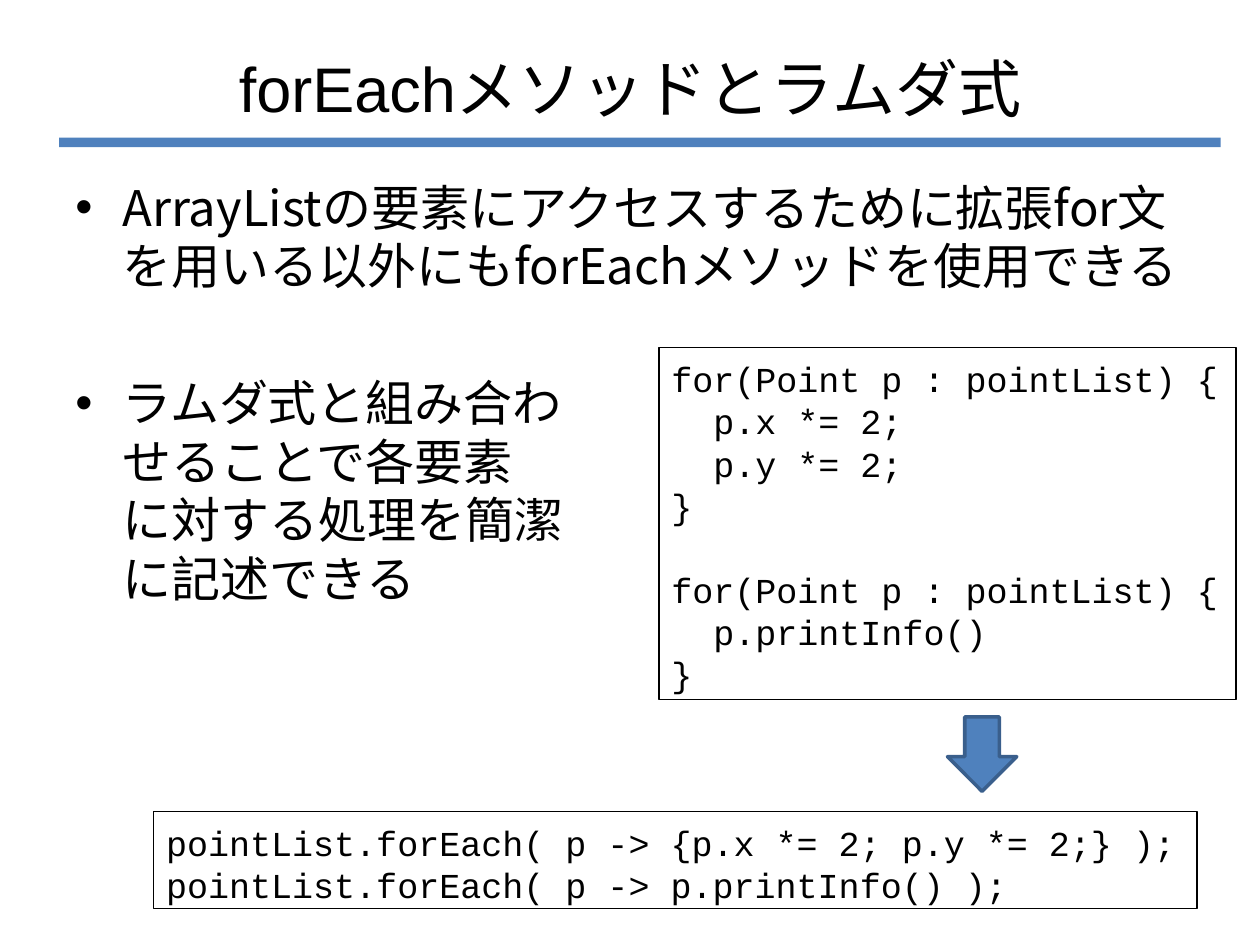
"""Build a slide on the forEach method and lambda expressions."""
from lxml import etree
from pptx import Presentation
from pptx.dml.color import RGBColor
from pptx.enum.shapes import MSO_SHAPE
from pptx.enum.text import MSO_ANCHOR, PP_ALIGN
from pptx.oxml.ns import qn
from pptx.util import Pt

RECTANGLE, DOWN_ARROW = MSO_SHAPE.RECTANGLE, MSO_SHAPE.DOWN_ARROW
TOP, MIDDLE = MSO_ANCHOR.TOP, MSO_ANCHOR.MIDDLE
LEFT, CENTER = PP_ALIGN.LEFT, PP_ALIGN.CENTER

COLORS = {"text": "000000", "accent": "4F81BD", "arrow_edge": "3A5F8C"}
SANS, MONO, JAPANESE = "Arial", "Courier New", "Noto Sans CJK JP"

TITLE = "forEachメソッドとラムダ式"
POINTS = [
    "ArrayListの要素にアクセスするために拡張for文を用いる以外にもforEachメソッドを使用できる",
    "ラムダ式と組み合わ\vせることで各要素\vに対する処理を簡潔\vに記述できる",
]
LOOPS = [
    ["for(Point p : pointList) {", "  p.x *= 2;", "  p.y *= 2;", "}"],
    ["for(Point p : pointList) {", "  p.printInfo()", "}"],
]
LAMBDAS = [[
    "pointList.forEach( p -> {p.x *= 2; p.y *= 2;} );",
    "pointList.forEach( p -> p.printInfo() );",
]]
CODE_BOXES = [
    ((376.5, 198.7, 329.8, 200.9), LOOPS),
    ((87.8, 463.7, 596.2, 55.4), LAMBDAS),
]
TITLE_BOX = (36, 21.6, 648, 56.9)
POINTS_BOX = (36, 95.8, 648, 393.8)
RULE_BOX = (33.8, 78.7, 663.8, 5.5)
ARROW_BOX = (541.4, 409.7, 39.6, 42.5)
POINT_GAP, CODE_LINE, POINT_LINE, INDENT = 45, 24.1, 33.4, 27


def color(name):
    return RGBColor.from_string(COLORS[name])


def add_box(slide, box, kind=RECTANGLE, fill=None, line=None, width=0.75):
    shape = slide.shapes.add_shape(kind, *map(Pt, box))
    shape.shadow.inherit = False
    if fill:
        shape.fill.solid()
        shape.fill.fore_color.rgb = color(fill)
    else:
        shape.fill.background()
    if line:
        shape.line.color.rgb = color(line)
        shape.line.width = Pt(width)
    else:
        shape.line.fill.background()
    return shape


def prepare_frame(shape, anchor=TOP, top=5.6):
    frame = shape.text_frame
    frame.word_wrap = True
    frame.vertical_anchor = anchor
    frame.margin_top = Pt(top)
    return frame


def write_lines(frame, lines, font, size, align=LEFT, spacing=None, bullet=False):
    for number, (text, gap) in enumerate(lines):
        paragraph = frame.add_paragraph() if number else frame.paragraphs[0]
        paragraph.text = text
        paragraph.alignment = align
        paragraph.space_before = Pt(gap)
        if spacing:
            paragraph.line_spacing = Pt(spacing)
        properties = paragraph._p.get_or_add_pPr()
        if bullet:
            properties.set("marL", str(Pt(INDENT)))
            properties.set("indent", str(-Pt(INDENT)))
            etree.SubElement(properties, qn("a:buFont"), typeface=SANS)
            etree.SubElement(properties, qn("a:buChar"), char="•")
        paragraph.font.name = font
        paragraph.font.size = Pt(size)
        paragraph.font.color.rgb = color("text")
        defaults = properties.find(qn("a:defRPr"))
        etree.SubElement(defaults, qn("a:ea"), typeface=JAPANESE)


def main():
    deck = Presentation()
    deck.slide_width, deck.slide_height = Pt(720), Pt(540)
    slide = deck.slides.add_slide(deck.slide_layouts[6])

    add_box(slide, RULE_BOX, fill="accent")

    title = slide.shapes.add_textbox(*map(Pt, TITLE_BOX))
    write_lines(prepare_frame(title, MIDDLE, 3.6), [(TITLE, 0)], SANS, 36, CENTER)

    points = slide.shapes.add_textbox(*map(Pt, POINTS_BOX))
    point_lines = [(text, POINT_GAP if i else 0) for i, text in enumerate(POINTS)]
    write_lines(prepare_frame(points), point_lines, JAPANESE, 28,
                spacing=POINT_LINE, bullet=True)

    for box, blocks in CODE_BOXES:
        code = add_box(slide, box, line="text")
        code_lines = [(text, CODE_LINE if b and not i else 0)
                      for b, block in enumerate(blocks)
                      for i, text in enumerate(block)]
        write_lines(prepare_frame(code), code_lines, MONO, 20, spacing=CODE_LINE)

    add_box(slide, ARROW_BOX, DOWN_ARROW, "accent", "arrow_edge", 2)
    deck.save("out.pptx")


if __name__ == "__main__":
    main()
